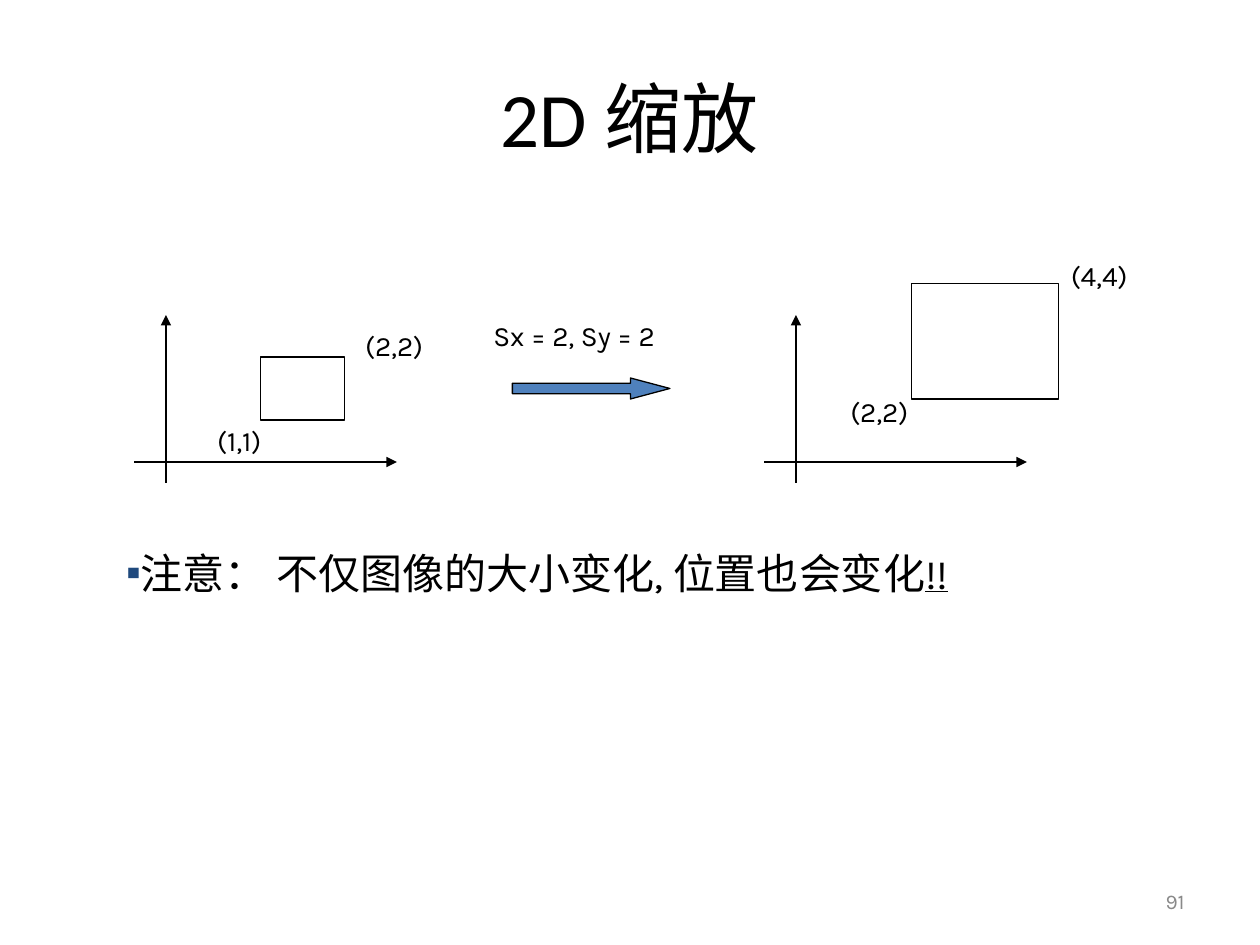
from lxml.etree import SubElement
from pptx import Presentation
from pptx.dml.color import RGBColor
from pptx.enum.shapes import MSO_CONNECTOR as Connector, MSO_SHAPE as Shape
from pptx.enum.text import MSO_ANCHOR as Anchor, PP_ALIGN as Align
from pptx.oxml.ns import qn
from pptx.util import Inches, Pt

BLACK = RGBColor(0x00, 0x00, 0x00)
GRAY = RGBColor(0x89, 0x89, 0x89)
BLUE = RGBColor(0x4F, 0x81, 0xBD)
BULLET_COLOR = "1F497D"

COLUMNS, ROWS = 120, 90
WIDTH, HEIGHT = Inches(10), Inches(7.5)
LEFT_ORIGIN = (15.8, 44)
RIGHT_ORIGIN = (75.8, 44)

LABEL = {"name": "Karla", "size": Pt(16)}
TITLE = {"name": "Calibri", "size": Pt(44)}
NOTE = {"name": "Karla", "size": Pt(24)}
NUMBER = {"name": "Karla", "size": Pt(12)}


def to_lengths(*cells):
    steps = (WIDTH / COLUMNS, HEIGHT / ROWS)
    return [round(cell * steps[index % 2]) for index, cell in enumerate(cells)]


def from_origin(origin, column, row):
    return origin[0] + column, origin[1] + row


def place(shape, *cells):
    for name, length in zip(("left", "top", "width", "height"), to_lengths(*cells)):
        setattr(shape, name, length)


def add_run(paragraph, text, style, color=BLACK):
    run = paragraph.add_run()
    run.text = text
    for name, value in style.items():
        setattr(run.font, name, value)
    run.font.color.rgb = color


def add_label(slide, origin, column, row, text, columns=8.2):
    cells = from_origin(origin, column, row)
    box = slide.shapes.add_textbox(*to_lengths(*cells, columns, 4.4))
    box.text_frame.word_wrap = False
    add_run(box.text_frame.paragraphs[0], text, LABEL)


def add_outlined(slide, kind, origin, column, row, columns, rows):
    cells = from_origin(origin, column, row)
    shape = slide.shapes.add_shape(kind, *to_lengths(*cells, columns, rows))
    shape.shadow.inherit = False
    shape.fill.background()
    shape.line.color.rgb = BLACK
    shape.line.width = Pt(0.75)
    return shape


def add_axis(slide, origin, start, end):
    ends = to_lengths(*from_origin(origin, *start), *from_origin(origin, *end))
    axis = slide.shapes.add_connector(Connector.STRAIGHT, *ends)
    axis.line.color.rgb = BLACK
    axis.line.width = Pt(0.75)
    SubElement(axis.line._get_or_add_ln(), qn("a:tailEnd"), type="triangle")
    SubElement(axis._element.spPr, qn("a:effectLst"))


def add_plot(slide, origin, rectangle, labels):
    add_axis(slide, origin, (0, 2), (0, -14))
    add_axis(slide, origin, (-3, 0), (22, 0))
    add_outlined(slide, Shape.RECTANGLE, origin, *rectangle)
    for column, row, text in labels:
        add_label(slide, origin, column, row, text)


def add_scaling_arrow(slide):
    arrow = add_outlined(slide, Shape.RIGHT_ARROW, LEFT_ORIGIN, 33, -8, 15, 2)
    arrow.fill.solid()
    arrow.fill.fore_color.rgb = BLUE
    arrow.adjustments[1] = 1.875
    add_label(slide, LEFT_ORIGIN, 30, -14.3, "Sx = 2, Sy = 2", 21.5)


def fill_title(title):
    place(title, 6, 3.6, 108, 15)
    title.text_frame.vertical_anchor = Anchor.MIDDLE
    paragraph = title.text_frame.paragraphs[0]
    paragraph.alignment = Align.CENTER
    add_run(paragraph, "2D 缩放", TITLE)


def fill_note(body):
    place(body, 10.8, 51.5, 84.7, 10.9)
    body.text_frame.word_wrap = False
    paragraph = body.text_frame.paragraphs[0]
    paragraph.space_before = Pt(0)
    properties = paragraph._p.get_or_add_pPr()
    properties.set("marL", "0")
    properties.set("indent", "0")
    color = SubElement(properties, qn("a:buClr"))
    SubElement(color, qn("a:srgbClr"), val=BULLET_COLOR)
    SubElement(properties, qn("a:buChar"), char="▪")
    add_run(paragraph, "注意： 不仅图像的大小变化, 位置也会变化", NOTE)
    add_run(paragraph, "!!", {**NOTE, "underline": True})


def add_slide_number(slide):
    box = slide.shapes.add_textbox(*to_lengths(86, 83.4, 28, 4.8))
    box.text_frame.vertical_anchor = Anchor.MIDDLE
    box.text_frame.word_wrap = True
    paragraph = box.text_frame.paragraphs[0]
    paragraph.alignment = Align.RIGHT
    add_run(paragraph, "91", NUMBER, GRAY)


def main():
    presentation = Presentation()
    presentation.slide_width, presentation.slide_height = WIDTH, HEIGHT
    slide = presentation.slides.add_slide(presentation.slide_layouts[1])
    fill_title(slide.shapes.title)
    add_plot(slide, LEFT_ORIGIN, (9, -10, 8, 6),
             [(3.7, -4.3, "(1,1)"), (17.8, -13.3, "(2,2)")])
    add_scaling_arrow(slide)
    add_plot(slide, RIGHT_ORIGIN, (11, -17, 14, 11),
             [(4, -7, "(2,2)"), (25, -20, "(4,4)")])
    fill_note(slide.placeholders[1])
    add_slide_number(slide)
    presentation.save("out.pptx")


if __name__ == "__main__":
    main()
